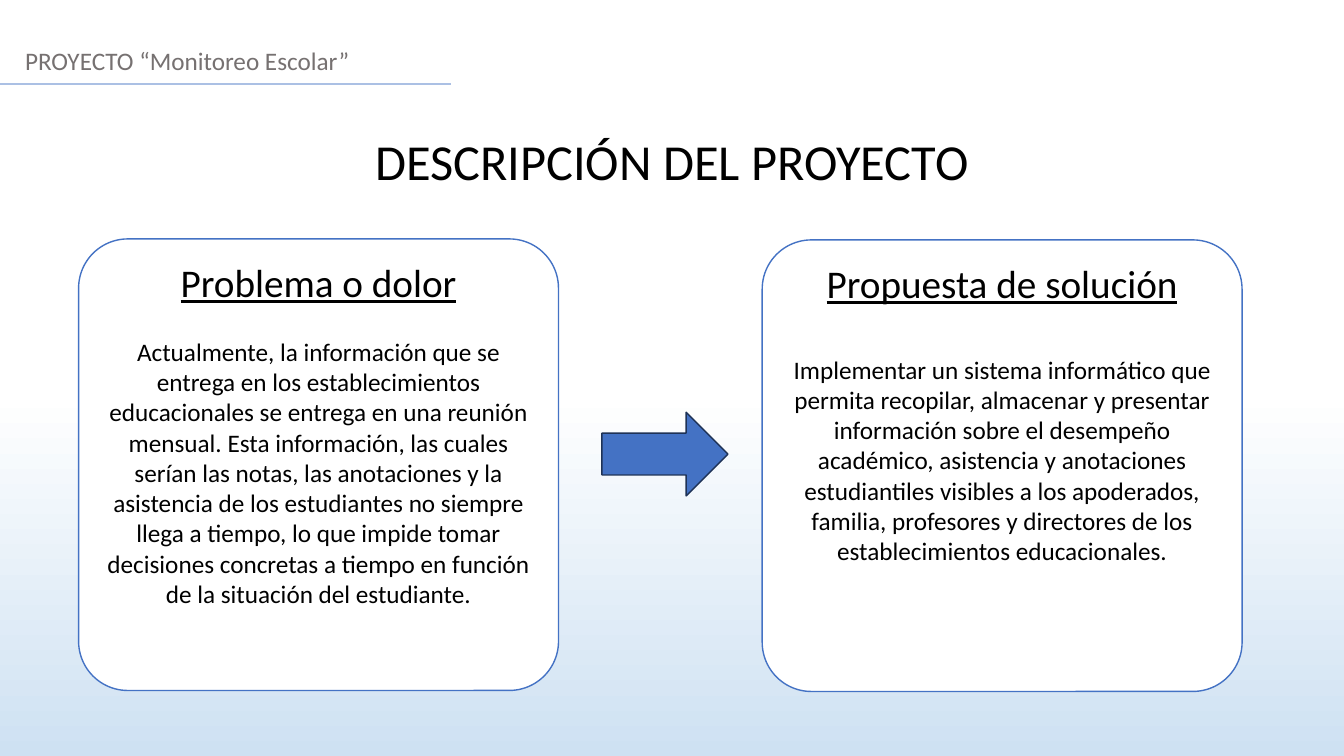
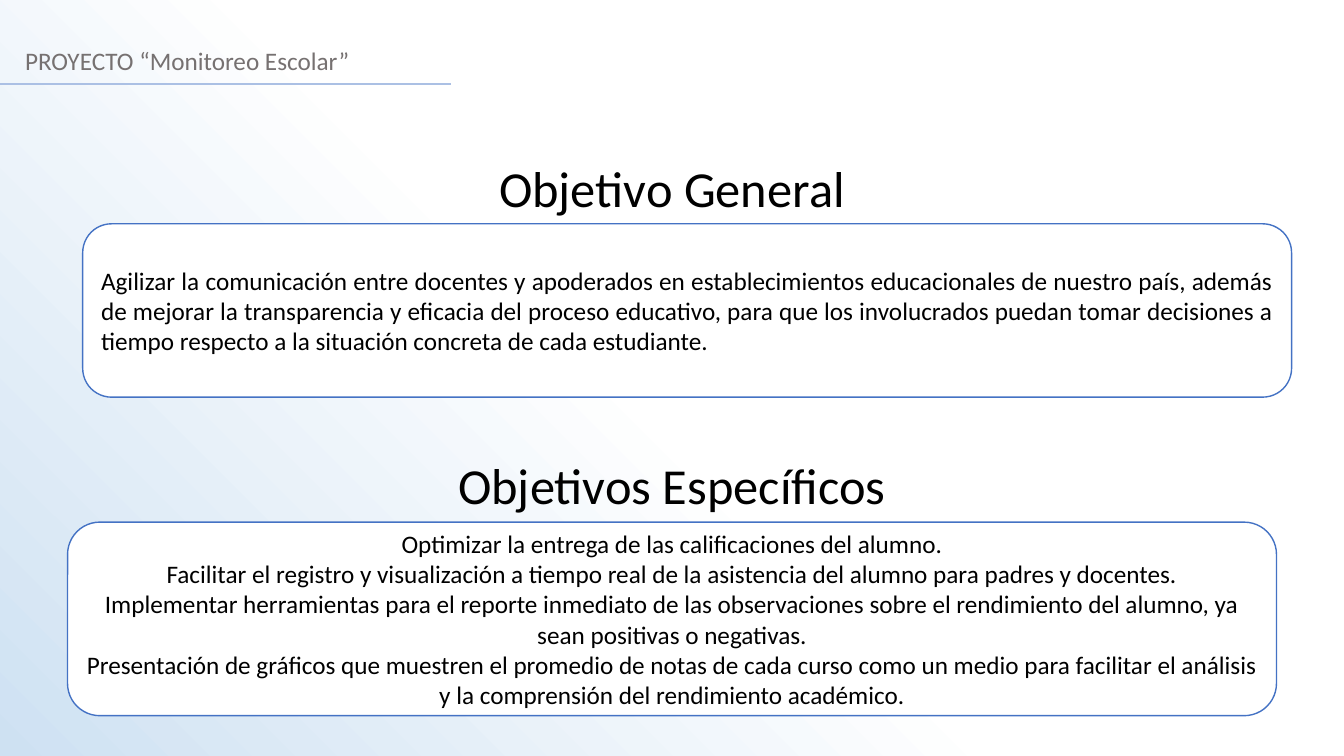
from dataclasses import dataclass

from lxml import etree
from pptx import Presentation
from pptx import util as u
from pptx.dml.color import RGBColor
from pptx.enum import shapes, text
from pptx.oxml.ns import qn

EMU_PER_PX = 9144  # 100 px to the inch
SLIDE_WIDTH, SLIDE_HEIGHT = 1333, 750
FONT = "Calibri"
BODY_SIZE = 18
COLORS = {
    "white": "FFFFFF",
    "sky": "CEE1F2",
    "ink": "000000",
    "header": "767171",
    "rule": "ABC0E4",
    "accent": "4472C4",
    "arrow_edge": "1E3256",
}
CENTER = text.PP_ALIGN.CENTER


@dataclass(frozen=True)
class Box:
    left: int
    top: int
    width: int
    height: int

    def emu(self) -> list[u.Emu]:
        return [px(n) for n in (self.left, self.top, self.width, self.height)]


@dataclass(frozen=True)
class Line:
    """One paragraph of text."""
    words: str
    size: int = BODY_SIZE
    color: str = "ink"
    align: text.PP_ALIGN = CENTER
    underline: bool = False
    space_after: int = 0


@dataclass(frozen=True)
class Card:
    box: Box
    lines: tuple[Line, ...] = ()
    anchor: text.MSO_ANCHOR = text.MSO_ANCHOR.MIDDLE
    corner: float = 0.1667


def px(length: int) -> u.Emu:
    return u.Emu(length * EMU_PER_PX)


def rgb(name: str) -> RGBColor:
    return RGBColor.from_string(COLORS[name])


def write(shape, lines: tuple[Line, ...], anchor=text.MSO_ANCHOR.TOP) -> None:
    frame = shape.text_frame
    frame.word_wrap = True
    frame.auto_size = text.MSO_AUTO_SIZE.NONE
    frame.vertical_anchor = anchor
    for index, line in enumerate(lines):
        paragraph = frame.add_paragraph() if index else frame.paragraphs[0]
        paragraph.alignment = line.align
        paragraph.space_before = u.Pt(0)
        paragraph.space_after = u.Pt(line.space_after)
        run = paragraph.add_run()
        run.text = line.words
        run.font.name = FONT
        run.font.size = u.Pt(line.size)
        run.font.underline = line.underline
        run.font.color.rgb = rgb(line.color)


def place(shape, box: Box) -> None:
    shape.left, shape.top, shape.width, shape.height = box.emu()


def add_text(slide, box: Box, line: Line) -> None:
    write(slide.shapes.add_textbox(*box.emu()), (line,))


def heading_box(top: int) -> Box:
    return Box(0, top, SLIDE_WIDTH, 71)


def heading(words: str) -> Line:
    return Line(words, size=36)


def add_slide(presentation, layout: int, angle: int, title: str, title_top: int):
    """Start a slide with the shared gradient, header, rule and title."""
    slide = presentation.slides.add_slide(presentation.slide_layouts[layout])
    fill = slide.background.fill
    fill.gradient()
    fill.gradient_angle = angle
    for stop, position, color in zip(fill.gradient_stops, (0.52, 1), ("white", "sky")):
        stop.position = position
        stop.color.rgb = rgb(color)
    place(slide.shapes.title, heading_box(title_top))
    write(slide.shapes.title, (heading(title),))
    add_text(slide, Box(15, 40, 1318, 40),
             Line("PROYECTO “Monitoreo Escolar”", color="header", align=text.PP_ALIGN.LEFT))
    rule = slide.shapes.add_connector(
        shapes.MSO_CONNECTOR.STRAIGHT, px(0), px(83), px(447), px(83))
    rule.line.color.rgb = rgb("rule")
    rule.line.width = u.Pt(1.25)
    etree.SubElement(rule.element.spPr, qn("a:effectLst"))
    return slide


def add_shape(slide, kind, box: Box, fill: str, edge: str):
    shape = slide.shapes.add_shape(kind, *box.emu())
    shape.shadow.inherit = False
    shape.fill.solid()
    shape.fill.fore_color.rgb = rgb(fill)
    shape.line.color.rgb = rgb(edge)
    shape.line.width = u.Pt(1)
    return shape


def add_card(slide, card: Card):
    shape = add_shape(slide, shapes.MSO_SHAPE.ROUNDED_RECTANGLE, card.box, "white", "accent")
    shape.adjustments[0] = card.corner
    write(shape, card.lines, card.anchor)
    return shape


def add_list(slide, card: Card, lines: tuple[Line, ...]) -> None:
    """Lay the body placeholder, without bullets, over an empty card."""
    shape = add_card(slide, card)
    body = slide.placeholders[1]
    box, inset = card.box, 9
    place(body, Box(box.left + inset, box.top, box.width - 2 * inset, box.height))
    write(body, lines, text.MSO_ANCHOR.MIDDLE)
    for paragraph in body.text_frame.paragraphs:
        properties = paragraph._p.get_or_add_pPr()
        properties.set("marL", "0")
        properties.set("indent", "0")
        etree.SubElement(properties, qn("a:buNone"))
    shape.element.addnext(body.element)


def topic_card(left: int, top: int, title: str, gap: int, words: str) -> Card:
    lines = (Line(title, size=28, underline=True, space_after=gap), Line(words))
    return Card(Box(left, top, 476, 448), lines, text.MSO_ANCHOR.TOP, 0.109)


def add_description(presentation) -> None:
    slide = add_slide(presentation, 5, 270, "DESCRIPCIÓN DEL PROYECTO", 124)
    add_card(slide, topic_card(
        78, 237, "Problema o dolor", 22,
        "Actualmente, la información que se entrega en los establecimientos educacionales "
        "se entrega en una reunión mensual. Esta información, las cuales serían las notas, "
        "las anotaciones y la asistencia de los estudiantes no siempre llega a tiempo, lo que "
        "impide tomar decisiones concretas a tiempo en función de la situación del estudiante."))
    add_card(slide, topic_card(
        756, 238, "Propuesta de solución", 34,
        "Implementar un sistema informático que permita recopilar, almacenar y presentar "
        "información sobre el desempeño académico, asistencia y anotaciones estudiantiles "
        "visibles a los apoderados, familia, profesores y directores de los "
        "establecimientos educacionales."))
    add_shape(slide, shapes.MSO_SHAPE.RIGHT_ARROW, Box(597, 409, 125, 83),
              "accent", "arrow_edge")


def add_objectives(presentation) -> None:
    slide = add_slide(presentation, 1, 225, "Objetivo General", 151)
    add_text(slide, heading_box(446), heading("Objetivos Específicos"))
    general = Line(
        "Agilizar la comunicación entre docentes y apoderados en establecimientos "
        "educacionales de nuestro país, además de mejorar la transparencia y eficacia del "
        "proceso educativo, para que los involucrados puedan tomar decisiones a tiempo "
        "respecto a la situación concreta de cada estudiante.",
        align=text.PP_ALIGN.JUSTIFY)
    add_card(slide, Card(Box(82, 222, 1199, 172), (general,)))
    add_list(slide, Card(Box(67, 518, 1199, 192)), (
        Line("Optimizar la entrega de las calificaciones del alumno."),
        Line("Facilitar el registro y visualización a tiempo real de la asistencia del "
             "alumno para padres y docentes."),
        Line("Implementar herramientas para el reporte inmediato de las observaciones "
             "sobre el rendimiento del alumno, ya sean positivas o negativas."),
        Line("Presentación de gráficos que muestren el promedio de notas de cada curso como "
             "un medio para facilitar el análisis y la comprensión del rendimiento académico."),
    ))


def main() -> None:
    presentation = Presentation()
    presentation.slide_width, presentation.slide_height = px(SLIDE_WIDTH), px(SLIDE_HEIGHT)
    add_description(presentation)
    add_objectives(presentation)
    presentation.save("out.pptx")


if __name__ == "__main__":
    main()
